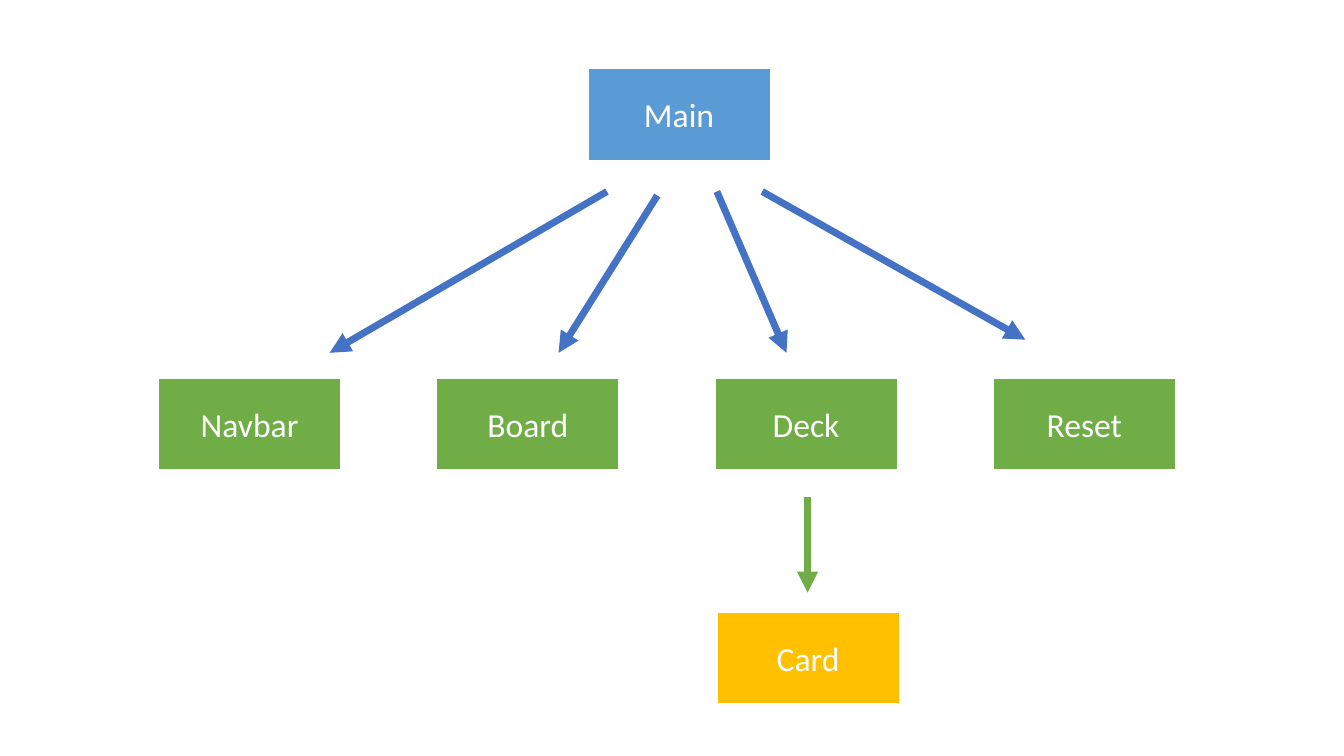
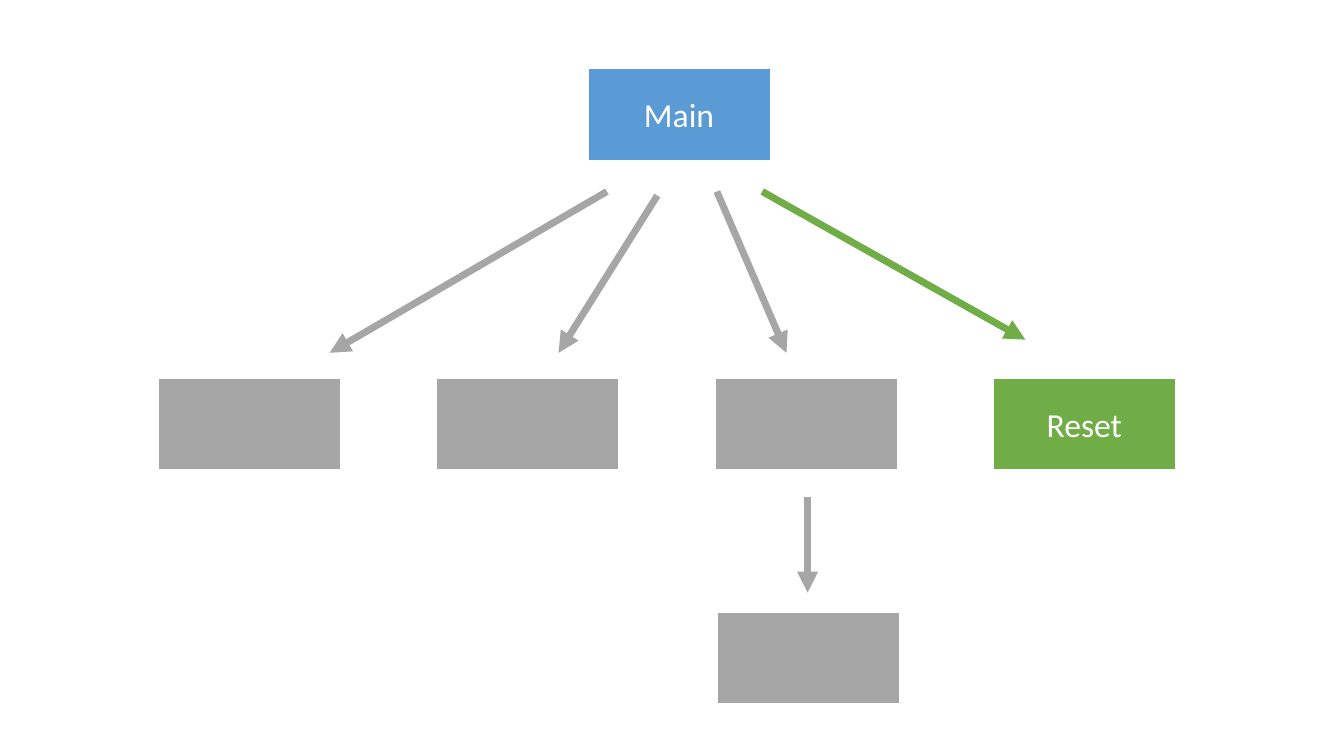
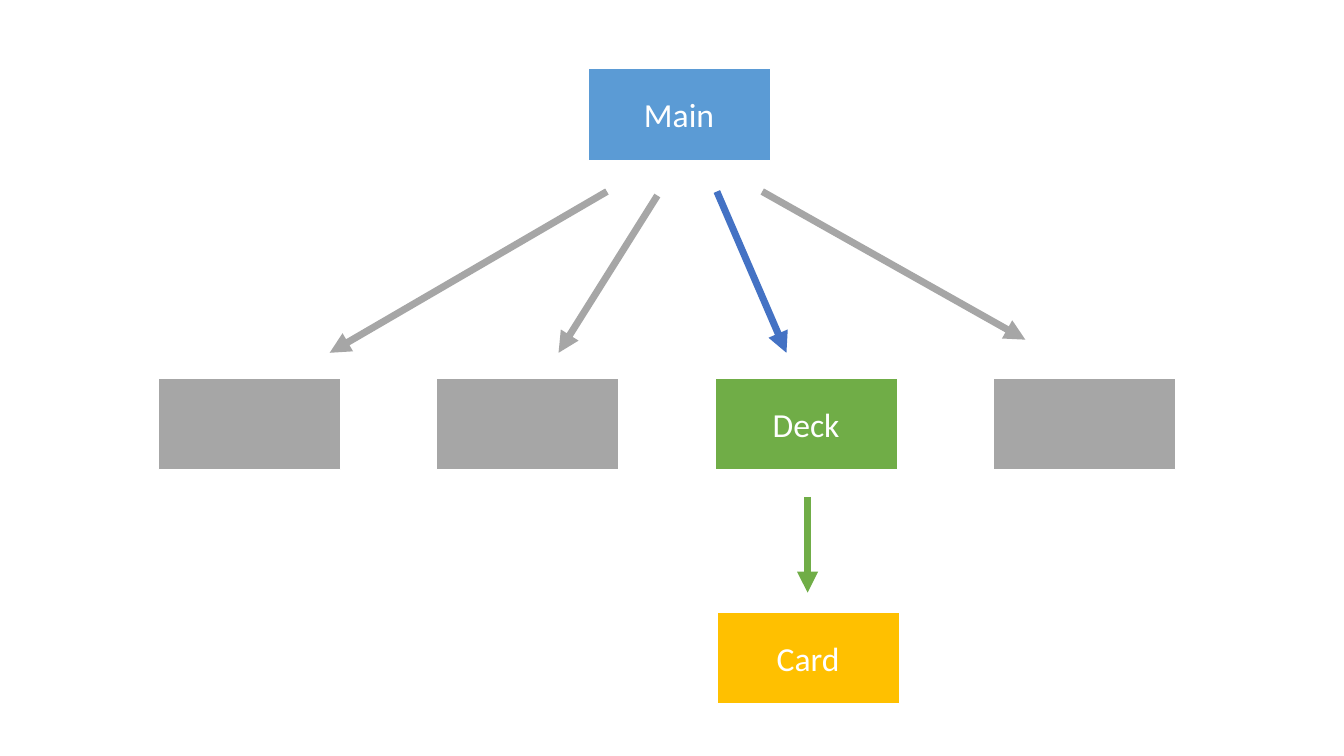
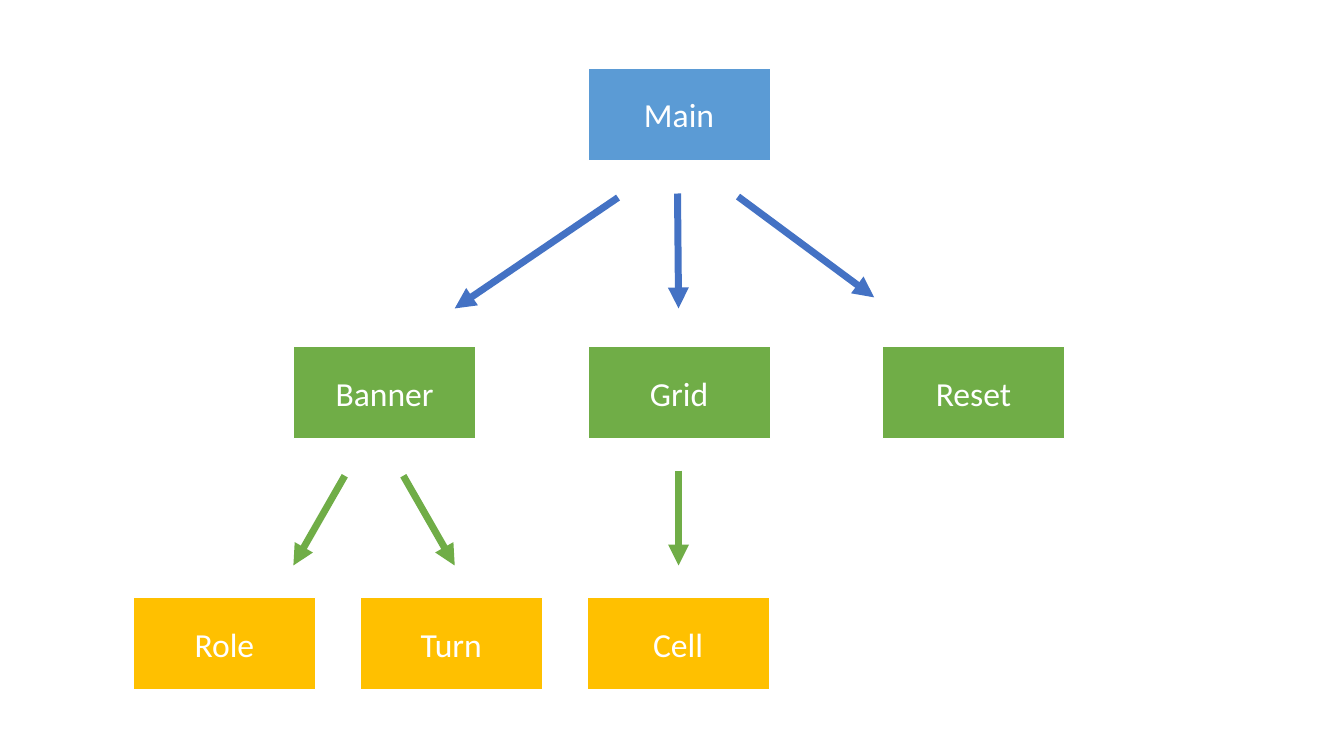
from lxml import etree
from pptx import Presentation
from pptx.dml.color import RGBColor
from pptx.enum.shapes import MSO_CONNECTOR, MSO_SHAPE
from pptx.enum.text import MSO_ANCHOR, PP_ALIGN
from pptx.oxml.ns import qn
from pptx.util import Inches, Pt

RECT, LINE = MSO_SHAPE.RECTANGLE, MSO_CONNECTOR.STRAIGHT
MIDDLE, CENTER = MSO_ANCHOR.MIDDLE, PP_ALIGN.CENTER

COLORS = {
    "blue": "5B9BD5",
    "navy": "4472C4",
    "green": "70AD47",
    "gold": "FFC000",
    "gray": "A6A6A6",
    "white": "FFFFFF",
}
WIDTH, HEIGHT = 1.81, 0.91
FONT = {"name": "Calibri", "size": Pt(24)}

ROOT = ("blue", 0.68, 5.83, 0, ["Main"])

# rows: fill, top, first left, step between lefts, names
# links: name of the child -> colour, start, end
CARDS = {
    "rows": [
        ROOT,
        ("green", 3.75, 1.57, 2.76, ["Navbar", "Board", "Deck", "Reset"]),
        ("gold", 6.07, 7.11, 0, ["Card"]),
    ],
    "links": {
        "Navbar": ("navy", (6.02, 1.9), (3.27, 3.5)),
        "Board": ("navy", (6.52, 1.94), (5.54, 3.5)),
        "Deck": ("navy", (7.11, 1.9), (7.8, 3.5)),
        "Reset": ("navy", (7.56, 1.9), (10.17, 3.37)),
        "Card": ("green", (8.01, 4.93), (8.01, 5.88)),
    },
}
GRID = {
    "rows": [
        ROOT,
        ("green", 3.44, 2.91, 2.92, ["Banner", "Grid", "Reset"]),
        ("gold", 5.93, 1.32, 2.25, ["Role", "Turn", "Cell"]),
    ],
    "links": {
        "Banner": ("navy", (6.13, 1.96), (4.51, 3.06)),
        "Grid": ("navy", (6.72, 1.92), (6.73, 3.06)),
        "Reset": ("navy", (7.32, 1.95), (8.67, 2.95)),
        "Role": ("green", (3.42, 4.72), (2.91, 5.61)),
        "Turn": ("green", (4, 4.72), (4.51, 5.61)),
        "Cell": ("green", (6.73, 4.67), (6.73, 5.61)),
    },
}

# tree, names kept in colour (None keeps all), link colours that differ
VIEWS = [
    (CARDS, None, {}),
    (CARDS, {"Main", "Reset"}, {"Reset": "green"}),
    (CARDS, {"Main", "Deck", "Card"}, {}),
    (GRID, None, {}),
]


def rgb(name):
    return RGBColor.from_string(COLORS[name])


def add_box(slide, left, top, fill, text):
    box = slide.shapes.add_shape(
        RECT, Inches(left), Inches(top), Inches(WIDTH), Inches(HEIGHT))
    box.shadow.inherit = False
    box.fill.solid()
    box.fill.fore_color.rgb = rgb(fill)
    box.line.color.rgb = rgb("white")
    box.line.width = Pt(1)
    if text:
        frame = box.text_frame
        frame.vertical_anchor = MIDDLE
        para = frame.paragraphs[0]
        para.alignment = CENTER
        run = para.add_run()
        run.text = text
        for key, value in FONT.items():
            setattr(run.font, key, value)
        run.font.color.rgb = rgb("white")


def add_arrow(slide, color, start, end):
    ends = [Inches(n) for n in (*start, *end)]
    arrow = slide.shapes.add_connector(LINE, *ends)
    arrow.line.color.rgb = rgb(color)
    arrow.line.width = Pt(5)
    etree.SubElement(arrow.line._get_or_add_ln(), qn("a:tailEnd"), type="triangle")
    etree.SubElement(arrow._element.spPr, qn("a:effectLst"))


def draw_tree(slide, tree, lit, tints):
    """Draw boxes and arrows, graying out every name that is not lit."""
    def shown(name):
        return lit is None or name in lit

    for fill, top, left, step, names in tree["rows"]:
        for i, name in enumerate(names):
            look = (fill, name) if shown(name) else ("gray", "")
            add_box(slide, left + i * step, top, *look)
    for name, (color, start, end) in tree["links"].items():
        tint = tints.get(name, color) if shown(name) else "gray"
        add_arrow(slide, tint, start, end)


def main():
    deck = Presentation()
    deck.slide_width, deck.slide_height = Inches(13.33), Inches(7.5)
    blank = deck.slide_layouts[6]
    for view in VIEWS:
        draw_tree(deck.slides.add_slide(blank), *view)
    deck.save("out.pptx")


if __name__ == "__main__":
    main()
